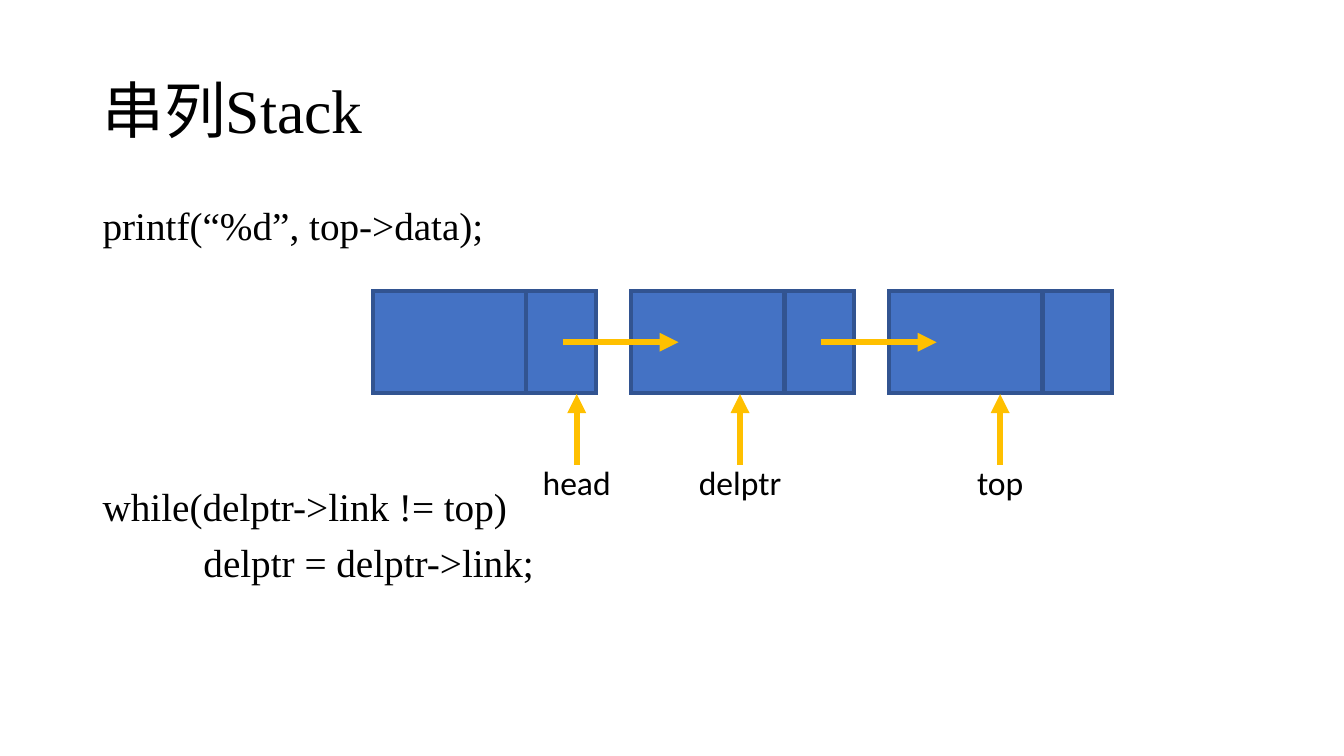
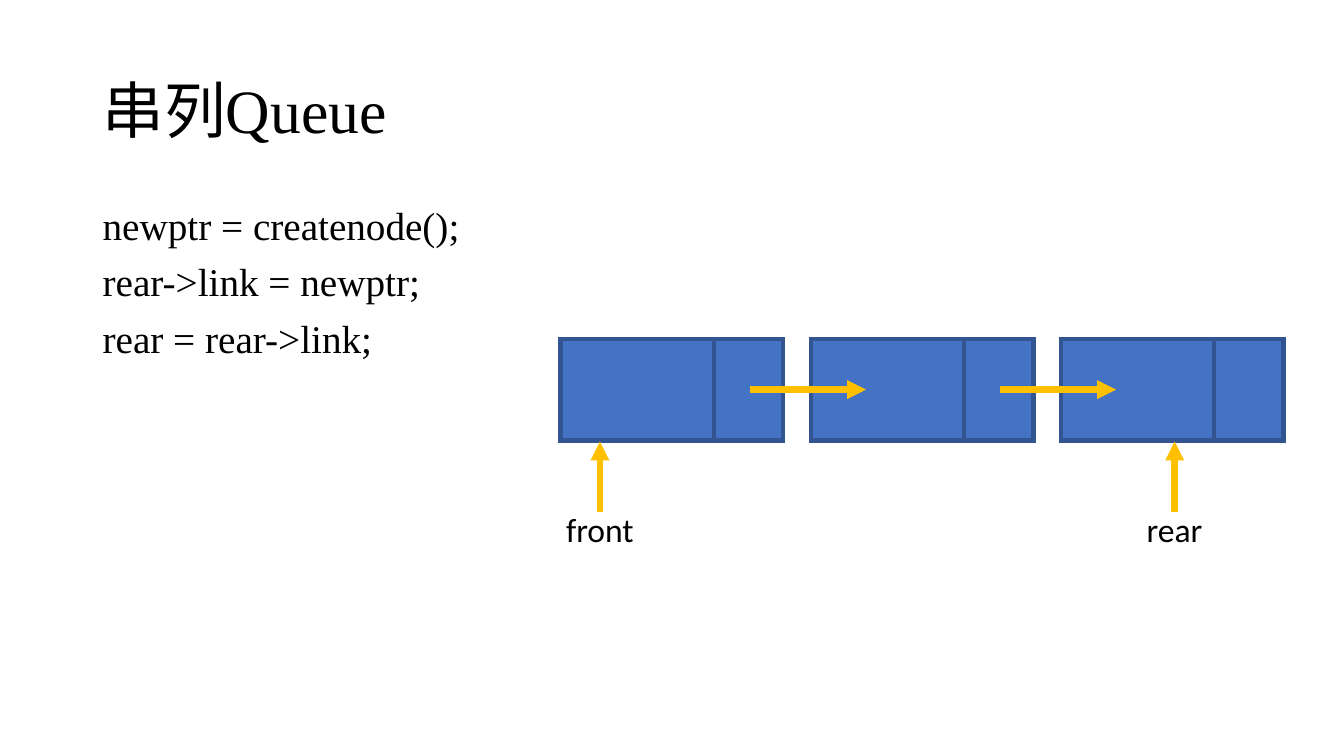
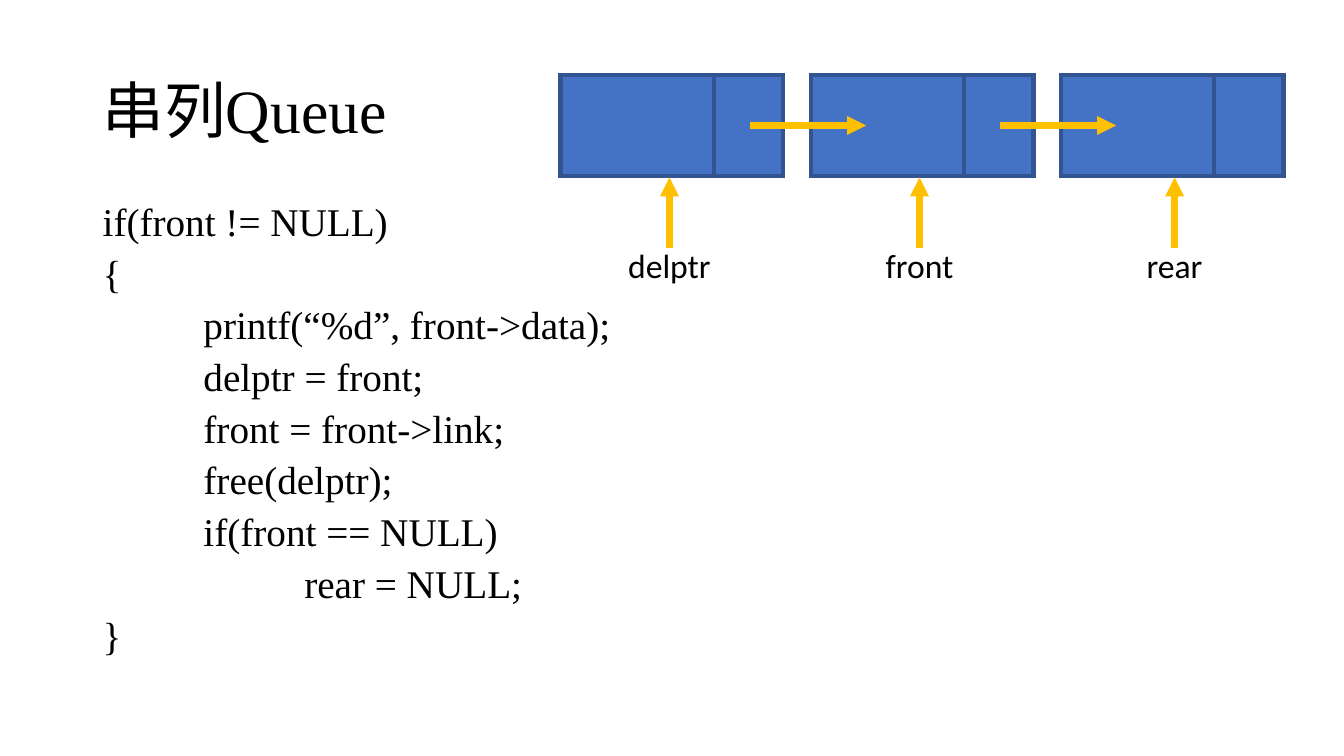
from pptx import Presentation
from pptx.dml.color import RGBColor
from pptx.enum.shapes import MSO_CONNECTOR, MSO_SHAPE
from pptx.enum.text import MSO_ANCHOR, MSO_AUTO_SIZE, PP_ALIGN
from pptx.oxml.ns import qn
from pptx.util import Inches, Pt
from lxml.etree import SubElement

# Colours and fonts
BLACK = RGBColor(0x00, 0x00, 0x00)
WHITE = RGBColor(0xFF, 0xFF, 0xFF)
NODE_FILL = RGBColor(0x44, 0x72, 0xC4)
NODE_LINE = RGBColor(0x32, 0x54, 0x91)
ARROW_GOLD = RGBColor(0xFF, 0xC0, 0x00)
CODE_FONT = "Times New Roman"
LABEL_FONT = "Calibri"

# Linked-list geometry, in inches
DATA_WIDTH, LINK_WIDTH, NODE_HEIGHT = 1.52, 0.69, 1.01
ARROW_START, ARROW_LENGTH = 1.88, 1.15
POINTER_GAP, POINTER_LENGTH = 0.01, 0.7
LABEL_DROP, LABEL_HEIGHT = 0.62, 0.5
LABEL_WIDTHS = {"head": 0.93, "delptr": 1.03, "top": 0.66, "front": 0.88, "rear": 0.76}


class ListDeck:
    def __init__(self):
        self.presentation = Presentation()
        self.presentation.slide_width = Inches(13.33)
        self.presentation.slide_height = Inches(7.5)
        self.slide = None

    def add_slide(self, title):
        self.slide = self.presentation.slides.add_slide(self.presentation.slide_layouts[6])
        background = self.slide.background.fill
        background.solid()
        background.fore_color.rgb = WHITE
        frame = self.text(0.92, 0.4, 11.5, 1.45, [title], 44, CODE_FONT)
        frame.vertical_anchor = MSO_ANCHOR.MIDDLE
        frame.paragraphs[0].line_spacing = 0.9

    def text(self, left, top, width, height, lines, size, font):
        box = self.slide.shapes.add_textbox(
            Inches(left), Inches(top), Inches(width), Inches(height))
        frame = box.text_frame
        frame.word_wrap = True
        frame.text = "\n".join(lines)
        for paragraph in frame.paragraphs:
            for run in paragraph.runs:
                run.font.size = Pt(size)
                run.font.name = font
                run.font.color.rgb = BLACK
        return frame

    def code(self, lines, line_spacing=0.9):
        frame = self.text(0.92, 2, 11.5, 4.76, lines, 28, CODE_FONT)
        for paragraph in frame.paragraphs:
            paragraph.line_spacing = line_spacing
            paragraph.space_before = Pt(10)
            properties = paragraph._p.get_or_add_pPr()
            properties.set("defTabSz", str(Inches(1)))
        return frame

    def arrow(self, start, end):
        connector = self.slide.shapes.add_connector(
            MSO_CONNECTOR.STRAIGHT, *(Inches(value) for value in (*start, *end)))
        connector.line.color.rgb = ARROW_GOLD
        connector.line.width = Pt(4.5)
        SubElement(connector.line._get_or_add_ln(), qn("a:tailEnd"), type="triangle")
        SubElement(connector._element.spPr, qn("a:effectLst"))

    def node(self, left, top):
        group = self.slide.shapes.add_group_shape()
        for cell_left, width in ((left, DATA_WIDTH), (left + DATA_WIDTH, LINK_WIDTH)):
            shape = group.shapes.add_shape(
                MSO_SHAPE.RECTANGLE, Inches(cell_left), Inches(top),
                Inches(width), Inches(NODE_HEIGHT))
            shape.shadow.inherit = False
            shape.fill.solid()
            shape.fill.fore_color.rgb = NODE_FILL
            shape.line.color.rgb = NODE_LINE
            shape.line.width = Pt(3)
            SubElement(shape.line._get_or_add_ln(), qn("a:miter"), lim="800000")

    def pointer(self, name, center, tip):
        self.arrow((center, tip + POINTER_LENGTH), (center, tip))
        width = LABEL_WIDTHS[name]
        frame = self.text(center - width / 2, tip + LABEL_DROP, width, LABEL_HEIGHT,
                          [name], 24, LABEL_FONT)
        frame.word_wrap = False
        frame.auto_size = MSO_AUTO_SIZE.SHAPE_TO_FIT_TEXT
        frame.paragraphs[0].alignment = PP_ALIGN.CENTER

    def linked_list(self, left, top, step, pointers):
        lefts = [left + index * step for index in range(3)]
        for node_left in lefts:
            self.node(node_left, top)
        middle = top + NODE_HEIGHT / 2
        for node_left in lefts[:-1]:
            start = node_left + ARROW_START
            self.arrow((start, middle), (start + ARROW_LENGTH, middle))
        for name, center in pointers.items():
            self.pointer(name, center, top + NODE_HEIGHT + POINTER_GAP)


deck = ListDeck()

# Stack: walk to the node before top
deck.add_slide("串列Stack")
stack_code = deck.code([
    "printf(“%d”, top->data);",
    "while(delptr->link != top)",
    "\tdelptr = delptr->link;",
])
stack_code.paragraphs[1].space_before = Pt(170.5)  # room for the diagram
deck.linked_list(3.7, 2.89, 2.56, {"head": 5.72, "delptr": 7.34, "top": 9.92})

# Queue: add a node at the rear
deck.add_slide("串列Queue")
deck.code([
    "newptr = createnode();",
    "rear->link = newptr;",
    "rear = rear->link;",
])
deck.linked_list(5.56, 3.36, 2.48, {"front": 5.95, "rear": 11.65})

# Queue: remove the front node
deck.add_slide("串列Queue")
deck.code([
    "if(front != NULL)",
    "{",
    "\tprintf(“%d”, front->data);",
    "\tdelptr = front;",
    "\tfront = front->link;",
    "\tfree(delptr);",
    "\tif(front == NULL)",
    "\t\trear = NULL;",
    "}",
], line_spacing=0.8)
deck.linked_list(5.56, 0.74, 2.48, {"delptr": 6.64, "front": 9.12, "rear": 11.65})

deck.presentation.save("out.pptx")
